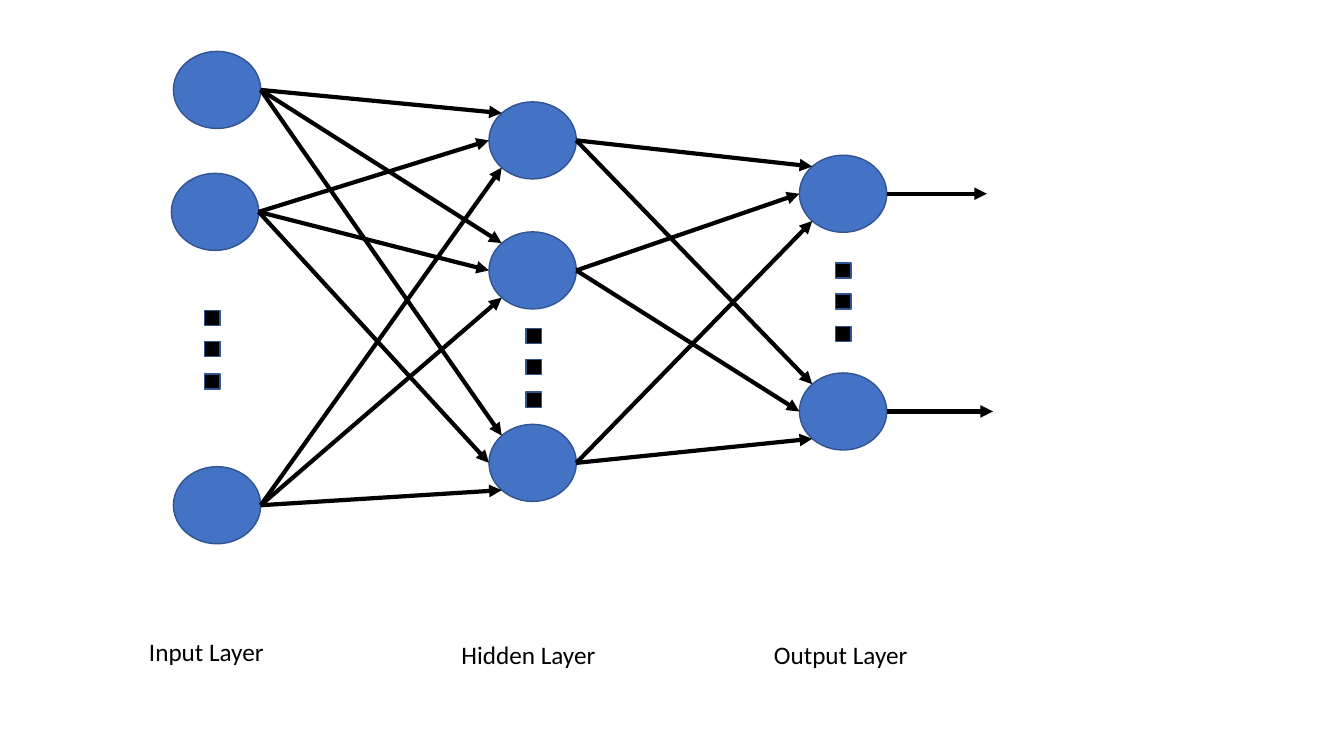
"""Draw a neural network with input, hidden and output layers."""
from math import cos, pi, sin

from lxml.etree import SubElement
from pptx import Presentation
from pptx.dml.color import RGBColor
from pptx.enum.shapes import MSO_CONNECTOR, MSO_SHAPE
from pptx.oxml.ns import qn
from pptx.util import Inches, Pt

BLUE = RGBColor(0x44, 0x72, 0xC4)
NAVY = RGBColor(0x32, 0x54, 0x91)
BLACK = RGBColor(0, 0, 0)

WIDE, HIGH = Inches(13.33), Inches(7.5)
NODE = (6.5, 10.2)
DOT = (1.13, 2)
LABEL = (19.5, 5.33)
STEPS = (0, 4.07, 8.4)
FONT = {"name": "Calibri", "size": Pt(18)}

LAYERS = [
    {"label": ("Input Layer", 10.35, 83.47),
     "nodes": [(12.9, 6.8), (12.75, 22.93), (12.9, 61.73)],
     "dots": (15.23, 41.07)},
    {"label": ("Hidden Layer", 33.6, 83.87),
     "nodes": [(36.38, 13.47), (36.38, 30.67), (36.38, 56.13)],
     "dots": (39.15, 43.47)},
    {"label": ("Output Layer", 56.85, 83.87),
     "nodes": [(59.48, 20.53), (59.48, 49.33)],
     "dots": (62.18, 34.8)},
]
EXITS = (73.43, 73.88)
ANGLES = (-3 * pi / 4, pi, 3 * pi / 4)


def scale(x, y):
    return round(x * WIDE / 100), round(y * HIGH / 100)


def rim(node, angle):
    return tuple(at + size / 2 * (1 + part) for at, size, part
                 in zip(node, NODE, (cos(angle), sin(angle))))


def solid(shapes, kind, at, size, color):
    shape = shapes.add_shape(kind, *scale(*at), *scale(*size))
    shape.shadow.inherit = False
    shape.fill.solid()
    shape.fill.fore_color.rgb = color
    shape.line.color.rgb = NAVY
    shape.line.width = Pt(1)


def arrow(shapes, start, end):
    link = shapes.add_connector(MSO_CONNECTOR.STRAIGHT, *scale(*start), *scale(*end))
    link.line.color.rgb = BLACK
    link.line.width = Pt(3)
    SubElement(link.line._get_or_add_ln(), qn("a:tailEnd"), type="triangle")
    SubElement(link._element.spPr, qn("a:effectLst"))


def write(shapes, text, x, y):
    frame = shapes.add_textbox(*scale(x, y), *scale(*LABEL)).text_frame
    frame.word_wrap = True
    run = frame.paragraphs[0].add_run()
    run.text = text
    for name, value in FONT.items():
        setattr(run.font, name, value)
    run.font.color.rgb = BLACK


def main():
    deck = Presentation()
    deck.slide_width, deck.slide_height = WIDE, HIGH
    shapes = deck.slides.add_slide(deck.slide_layouts[6]).shapes
    for layer in LAYERS:
        for node in layer["nodes"]:
            solid(shapes, MSO_SHAPE.OVAL, node, NODE, BLUE)
        x, y = layer["dots"]
        for step in STEPS:
            solid(shapes, MSO_SHAPE.RECTANGLE, (x, y + step), DOT, BLACK)
        write(shapes, *layer["label"])
    for left, right in zip(LAYERS, LAYERS[1:]):
        for node, angle in zip(left["nodes"], ANGLES):
            for goal in right["nodes"]:
                arrow(shapes, rim(node, 0), rim(goal, angle))
    for node, end in zip(LAYERS[-1]["nodes"], EXITS):
        start = rim(node, 0)
        arrow(shapes, start, (end, start[1]))
    deck.save("out.pptx")


if __name__ == "__main__":
    main()
